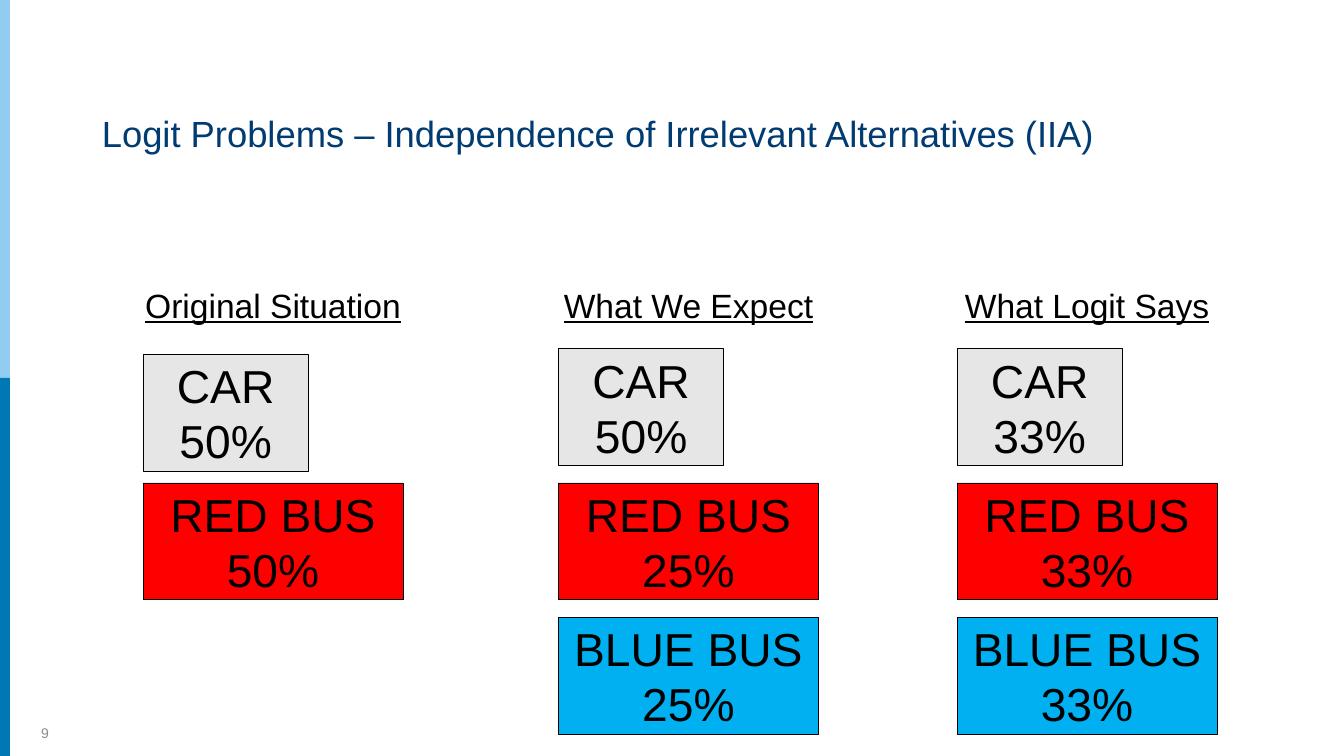
from pptx import Presentation
from pptx import util as u
from pptx.dml.color import RGBColor
from pptx.enum import shapes, text

NAVY = RGBColor(0x00, 0x3B, 0x71)
DEEP_BLUE = RGBColor(0x00, 0x78, 0xB3)
PALE_BLUE = RGBColor(0x92, 0xCC, 0xF0)
BLACK = RGBColor(0x00, 0x00, 0x00)
MID_GREY = RGBColor(0x8C, 0x8C, 0x8C)
CAR_GREY = RGBColor(0xE7, 0xE6, 0xE6)
BUS_RED = RGBColor(0xFF, 0x00, 0x00)
BUS_BLUE = RGBColor(0x00, 0xB0, 0xF0)

WIDTH, HEIGHT = 67.74, 38.1
FIRST_ROW, ROW_PITCH, BOX_HEIGHT = 17.58, 6.76, 5.89

# Mode: fill colour, box width
MODES = {
    "CAR": (CAR_GREY, 8.33),
    "RED BUS": (BUS_RED, 13.1),
    "BLUE BUS": (BUS_BLUE, 13.1),
}

# Scenario heading, left edge, drop of the car box, share of each mode
SCENARIOS = [
    ("Original Situation", 7.21, 0.28, ["50%", "50%"]),
    ("What We Expect", 28.15, 0, ["50%", "25%", "25%"]),
    ("What Logit Says", 48.24, 0, ["33%", "33%", "33%"]),
]


class SlideBuilder:
    """Holds the text style and the slide being filled."""

    font_name = "Arial"

    def __init__(self, slide):
        self.slide = slide

    def set_text(self, frame, lines, size, color=BLACK, underline=None,
                 align=text.PP_ALIGN.CENTER, anchor=text.MSO_ANCHOR.MIDDLE):
        frame_format = {"word_wrap": True, "vertical_anchor": anchor,
                        "auto_size": text.MSO_AUTO_SIZE.NONE}
        for key, value in frame_format.items():
            setattr(frame, key, value)
        frame.text = "\n".join(lines)
        font_format = {"name": self.font_name, "size": u.Pt(size),
                       "underline": underline}
        for paragraph in frame.paragraphs:
            paragraph.alignment = align
            for run in paragraph.runs:
                for key, value in font_format.items():
                    setattr(run.font, key, value)
                run.font.color.rgb = color

    def title(self, wording, left, top, width, height):
        heading = self.slide.shapes.title
        position = {"left": left, "top": top, "width": width, "height": height}
        for key, value in position.items():
            setattr(heading, key, u.Cm(value))
        self.set_text(heading.text_frame, [wording], 52, NAVY,
                      align=text.PP_ALIGN.LEFT)

    def label(self, wording, left, top, width, height, **style):
        box = self.slide.shapes.add_textbox(
            u.Cm(left), u.Cm(top), u.Cm(width), u.Cm(height))
        self.set_text(box.text_frame, [wording], **style)

    def block(self, left, top, width, height, fill):
        """Add a borderless rectangle without shadow."""
        rectangle = self.slide.shapes.add_shape(
            shapes.MSO_SHAPE.RECTANGLE,
            u.Cm(left), u.Cm(top), u.Cm(width), u.Cm(height))
        rectangle.shadow.inherit = False
        rectangle.fill.solid()
        rectangle.fill.fore_color.rgb = fill
        rectangle.line.fill.background()
        return rectangle

    def share_box(self, mode, share, left, top):
        fill, width = MODES[mode]
        box = self.block(left, top, width, BOX_HEIGHT, fill)
        box.line.color.rgb = BLACK
        box.line.width = u.Pt(1)
        self.set_text(box.text_frame, [mode, share], 66)


def main():
    deck = Presentation()
    deck.slide_width, deck.slide_height = u.Cm(WIDTH), u.Cm(HEIGHT)
    title_only = deck.slide_layouts[5]
    builder = SlideBuilder(deck.slides.add_slide(title_only))

    for half, color in enumerate([PALE_BLUE, DEEP_BLUE]):
        builder.block(0, half * HEIGHT / 2, 0.5, HEIGHT / 2, color)

    builder.title("Logit Problems – Independence of Irrelevant Alternatives (IIA)",
                  4.88, 3.91, 51.66, 5.59)
    builder.label("9", 1.83, 35.46, 45.11, 2.03, size=20, color=MID_GREY,
                  align=text.PP_ALIGN.LEFT, anchor=text.MSO_ANCHOR.BOTTOM)

    for heading, left, car_drop, shares in SCENARIOS:
        builder.label(heading, left - 0.33, 14.22, 13.77, 2.31,
                      size=48, underline=True)
        for row, (mode, share) in enumerate(zip(MODES, shares)):
            drop = car_drop if mode == "CAR" else 0
            builder.share_box(mode, share, left,
                              FIRST_ROW + row * ROW_PITCH + drop)

    deck.save("out.pptx")


if __name__ == "__main__":
    main()
